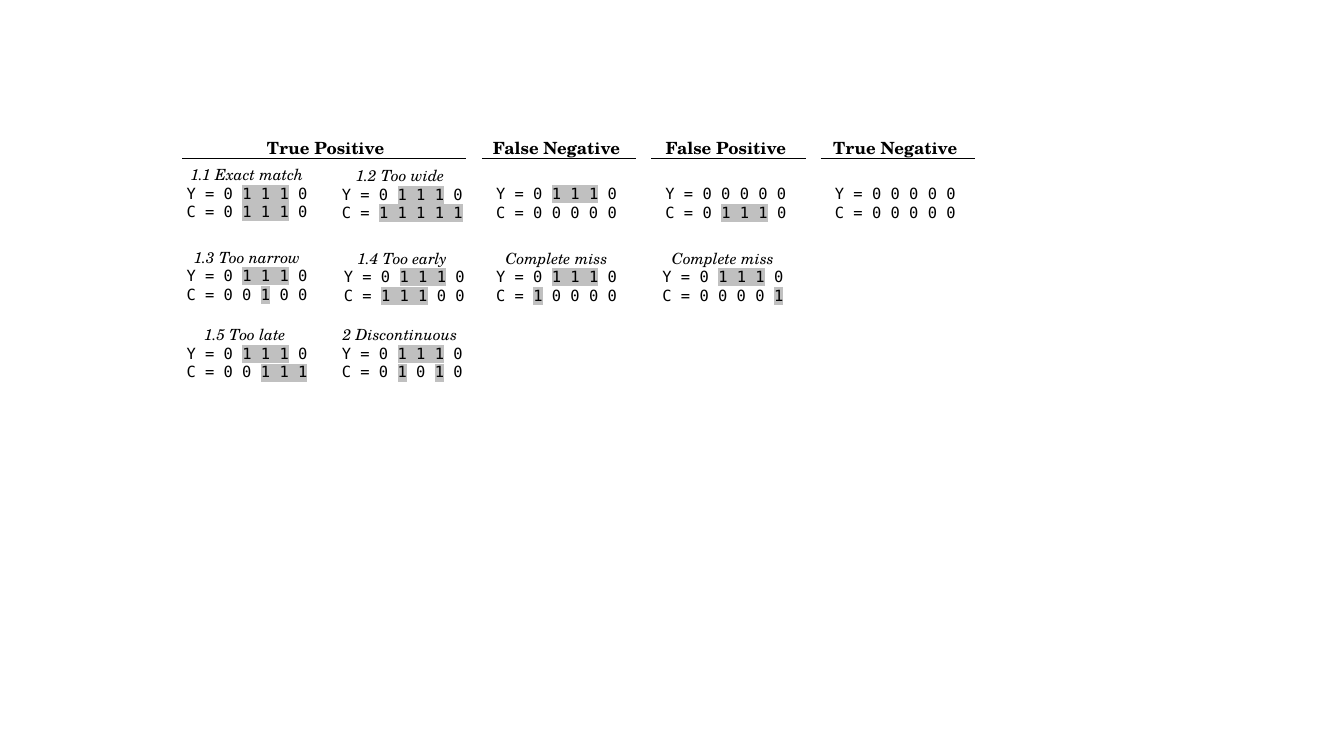
from itertools import groupby

from lxml import etree
from pptx import Presentation
from pptx import util as u
from pptx.dml.color import RGBColor
from pptx.enum import shapes, text
from pptx.oxml import ns

SCALE = 9144  # EMU per px, 100 px to the inch
HUES = {"ink": "000000", "mark": "C0C0C0"}
SERIF, MONO = "TeX Gyre Schola", "DejaVu Sans Mono"
STEP = 168  # from one narrow column to the next

HEADS = ["False Negative", "False Positive", "True Negative"]
HIT = "0 1 1 1 0"
NONE = "0 0 0 0 0"

# left, top, caption, Y series, C series
CASES = [
    (171, 159, "1.1 Exact match", HIT, HIT),
    (325, 160, "1.2 Too wide ", HIT, "1 1 1 1 1"),
    (171, 241, "1.3 Too narrow", HIT, "0 0 1 0 0"),
    (327, 242, "1.4 Too early ", HIT, "1 1 1 0 0"),
    (171, 318, "1.5 Too late ", HIT, "0 0 1 1 1"),
    (325, 318, "2 Discontinuous ", HIT, "0 1 0 1 0"),
    (478, 178, "", HIT, NONE),
    (646, 178, "", NONE, HIT),
    (814, 178, "", NONE, NONE),
    (478, 242, "Complete miss", HIT, "1 0 0 0 0"),
    (643, 242, "Complete miss", HIT, "0 0 0 0 1"),
]


def px(n):
    return u.Emu(n * SCALE)


def add_box(slide, x, y, w, h):
    frame = slide.shapes.add_textbox(px(x), px(y), px(w), px(h)).text_frame
    frame.word_wrap = True
    frame.auto_size = text.MSO_AUTO_SIZE.SHAPE_TO_FIT_TEXT
    return frame


def add_run(para, words, face, size=11, bold=False, slant=False, mark=False):
    run = para.add_run()
    run.text = words
    font = run.font
    font.size, font.bold, font.italic = u.Pt(size), bold, slant
    font.color.rgb = RGBColor.from_string(HUES["ink"])
    if mark:  # the highlight must stand between fill and typeface
        glow = etree.SubElement(font._element, ns.qn("a:highlight"))
        etree.SubElement(glow, ns.qn("a:srgbClr"), val=HUES["mark"])
    font.name = face


def add_bits(para, line):
    """Write a series, marking each unbroken stretch of ones."""
    def lit(i):
        return line[i] == "1" or line[i - 1:i + 2] == "1 1"

    for mark, spots in groupby(range(len(line)), lit):
        add_run(para, "".join(line[i] for i in spots), MONO, mark=mark)


def add_head(slide, x, w, words):
    para = add_box(slide, x, 132, w, 30).paragraphs[0]
    para.alignment = text.PP_ALIGN.CENTER
    add_run(para, words, SERIF, size=12, bold=True)


def add_rule(slide, x, end):
    line = slide.shapes.add_connector(
        shapes.MSO_CONNECTOR.STRAIGHT, px(x), px(157), px(end), px(157))
    line.line.color.rgb = RGBColor.from_string(HUES["ink"])
    line.line.width = u.Pt(0.5)
    etree.SubElement(line._element.spPr, ns.qn("a:effectLst"))


def add_case(slide, x, y, title, truth, guess):
    frame = add_box(slide, x, y, 148, 66 if title else 47)
    para = frame.paragraphs[0]
    if title:
        add_run(para, title, SERIF, slant=True)
        para = frame.add_paragraph()
    add_bits(para, "Y = " + truth)
    add_bits(frame.add_paragraph(), "C = " + guess)
    for para in frame.paragraphs:
        para.alignment = text.PP_ALIGN.CENTER


def main():
    deck = Presentation()
    deck.slide_width, deck.slide_height = px(1333), px(750)
    slide = deck.slides.add_slide(deck.slide_layouts[6])

    # Column headings with their rules
    add_head(slide, 171, 304, "True Positive")
    add_rule(slide, 181, 462)
    for i, words in enumerate(HEADS):
        add_head(slide, 475 + i * STEP, 154, words)
        add_rule(slide, 478 + i * STEP, 631 + i * STEP)

    # Example series
    for case in CASES:
        add_case(slide, *case)

    deck.save("out.pptx")


if __name__ == "__main__":
    main()
